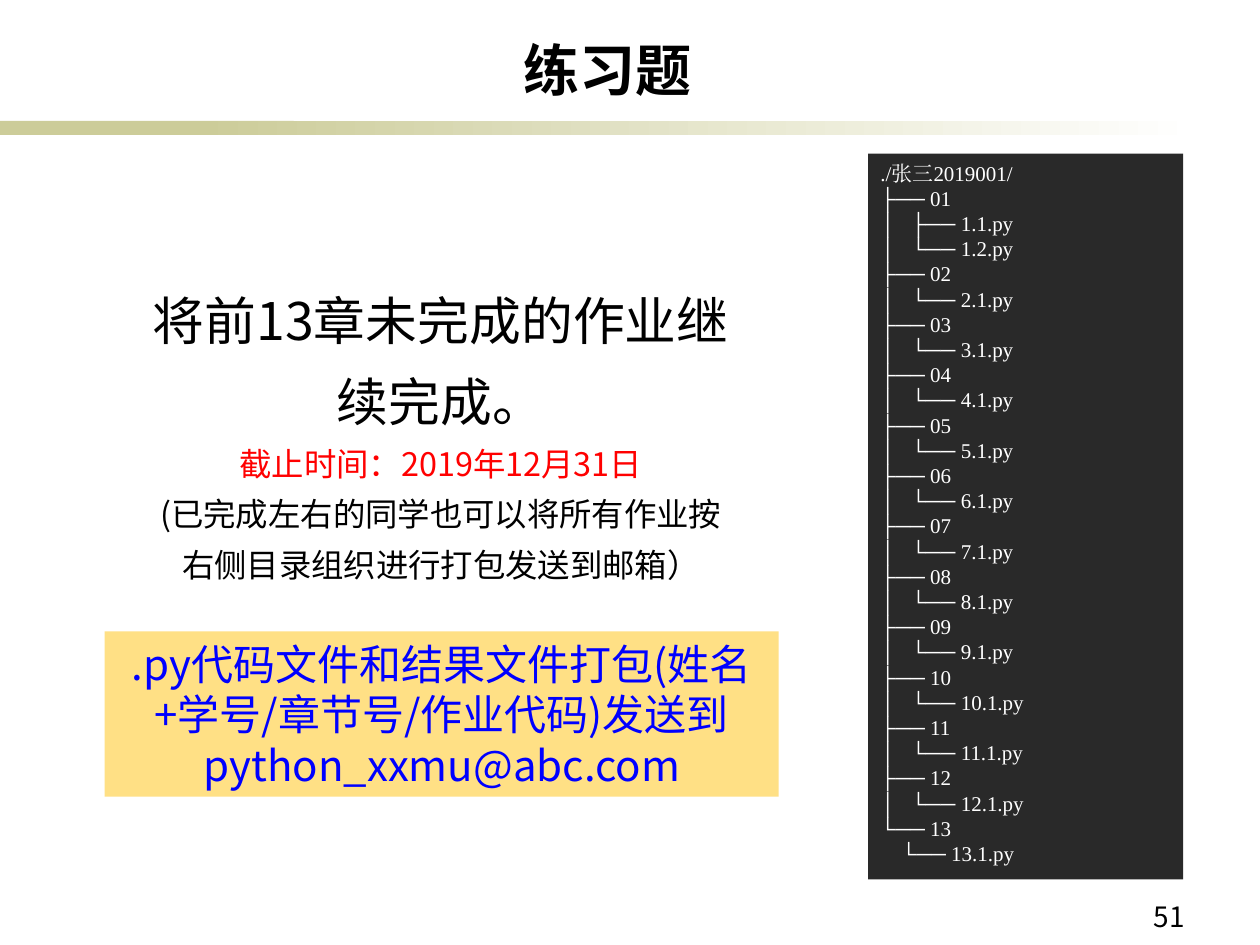
from dataclasses import dataclass

from pptx import Presentation
from pptx import util as u
from pptx.dml.color import RGBColor
from pptx.enum import shapes, text
from pptx.oxml import ns


@dataclass(frozen=True)
class Theme:
    black: str = "000000"
    white: str = "FFFFFF"
    red: str = "FF0000"
    blue: str = "0000FF"
    olive: str = "CCCC99"
    yellow: str = "FFE085"
    charcoal: str = "292929"
    sans: str = "Noto Sans CJK SC"
    serif: str = "Times New Roman"
    title: float = 32
    task: float = 29.6
    note: float = 18.5
    mail: float = 24
    number: float = 16
    tree: float = 12


THEME = Theme()
CENTER = text.PP_ALIGN.CENTER


def cm_box(box):
    return [u.Cm(length) for length in box]


def add_panel(slide, box, color):
    """Plain rectangle without line or shadow."""
    panel = slide.shapes.add_shape(shapes.MSO_SHAPE.RECTANGLE, *cm_box(box))
    panel.shadow.inherit = False
    panel.fill.solid()
    panel.fill.fore_color.rgb = RGBColor.from_string(color)
    panel.line.fill.background()
    return panel


def prepare_frame(shape, anchor=text.MSO_ANCHOR.TOP, side=0.25, margin=0.13):
    frame = shape.text_frame
    frame.word_wrap = True
    frame.vertical_anchor = anchor
    frame.margin_left = frame.margin_right = u.Cm(side)
    frame.margin_top = frame.margin_bottom = u.Cm(margin)
    return frame


def write_lines(frame, lines, size, color, name=THEME.sans, bold=False,
                align=CENTER, spacing=None):
    """Fill the first empty paragraph, then append one paragraph per line."""
    for line in lines:
        paragraph = frame.paragraphs[0] if not frame.text else frame.add_paragraph()
        paragraph.text = line
        paragraph.alignment = align
        if spacing:
            paragraph.line_spacing = u.Pt(spacing)
        font = paragraph.font
        font.size, font.bold, font.name = u.Pt(size), bold, name
        font.color.rgb = RGBColor.from_string(color)
        # East Asian characters take the same typeface
        east_asian = font._element.makeelement(ns.qn("a:ea"), {"typeface": name})
        font._element.find(ns.qn("a:latin")).addnext(east_asian)


def add_title(slide, box):
    frame = prepare_frame(slide.shapes.add_textbox(*cm_box(box)),
                          text.MSO_ANCHOR.BOTTOM)
    write_lines(frame, ["练习题"], THEME.title, THEME.black, bold=True, spacing=40)


def add_rule(slide, box):
    """Olive bar that fades out to the right."""
    left, top, width, height = box
    solid_width, fade_offset = 5.92, 4.01
    add_panel(slide, (left, top, solid_width, height), THEME.olive)
    fade = add_panel(slide, (left + fade_offset, top, width - fade_offset, height),
                     THEME.olive)
    fade.fill.gradient()
    fade.fill.gradient_angle = 0
    ends = (0, THEME.olive), (1, THEME.white)
    for stop, (position, color) in zip(fade.fill.gradient_stops, ends):
        stop.position = position
        stop.color.rgb = RGBColor.from_string(color)


def add_task(slide, box):
    frame = prepare_frame(slide.shapes.add_textbox(*cm_box(box)))
    write_lines(frame, ["将前13章未完成的作业继续完成。"], THEME.task, THEME.black,
                spacing=46)
    write_lines(frame, ["截止时间：2019年12月31日"], THEME.note, THEME.red, spacing=29)
    write_lines(frame, ["(已完成左右的同学也可以将所有作业按右侧目录组织进行打包发送到邮箱）"],
                THEME.note, THEME.black, spacing=29)


def add_mail_note(slide, box):
    # Narrow side margins keep the instruction on two lines
    frame = prepare_frame(add_panel(slide, box, THEME.yellow), side=0.15)
    lines = [".py代码文件和结果文件打包(姓名+学号/章节号/作业代码)发送到",
             "python_xxmu@abc.com"]
    write_lines(frame, lines, THEME.mail, THEME.blue, spacing=29)


def tree_lines(chapters=13):
    """Directory listing: chapter 1 holds two files, the others one."""
    lines = ["./张三2019001/"]
    for chapter in range(1, chapters + 1):
        last_chapter = chapter == chapters
        lines.append(f"{'└' if last_chapter else '├'}── {chapter:02d}")
        stem = "    " if last_chapter else "│   "
        files = 2 if chapter == 1 else 1
        for number in range(1, files + 1):
            branch = "└" if number == files else "├"
            lines.append(f"{stem}{branch}── {chapter}.{number}.py")
    return lines


def add_tree(slide, box):
    frame = prepare_frame(add_panel(slide, box, THEME.charcoal))
    write_lines(frame, tree_lines(), THEME.tree, THEME.white, THEME.serif,
                align=text.PP_ALIGN.LEFT, spacing=14.4)


def add_page_number(slide, box):
    frame = prepare_frame(slide.shapes.add_textbox(*cm_box(box)),
                          text.MSO_ANCHOR.MIDDLE)
    write_lines(frame, ["51"], THEME.number, THEME.black, align=text.PP_ALIGN.RIGHT)


def main():
    presentation = Presentation()
    presentation.slide_width, presentation.slide_height = u.Cm(25.4), u.Cm(19.05)
    slide = presentation.slides.add_slide(presentation.slide_layouts[6])
    add_rule(slide, (0, 2.44, 24.13, 0.28))
    add_task(slide, (2.79, 5.33, 12.19, 6.81))
    add_title(slide, (4.7, 0.53, 15.11, 1.68))
    add_page_number(slide, (21.54, 17.96, 2.59, 1.02))
    add_mail_note(slide, (2.11, 12.73, 13.59, 3.33))
    add_tree(slide, (17.5, 3.1, 6.35, 14.63))
    presentation.save("out.pptx")


if __name__ == "__main__":
    main()
